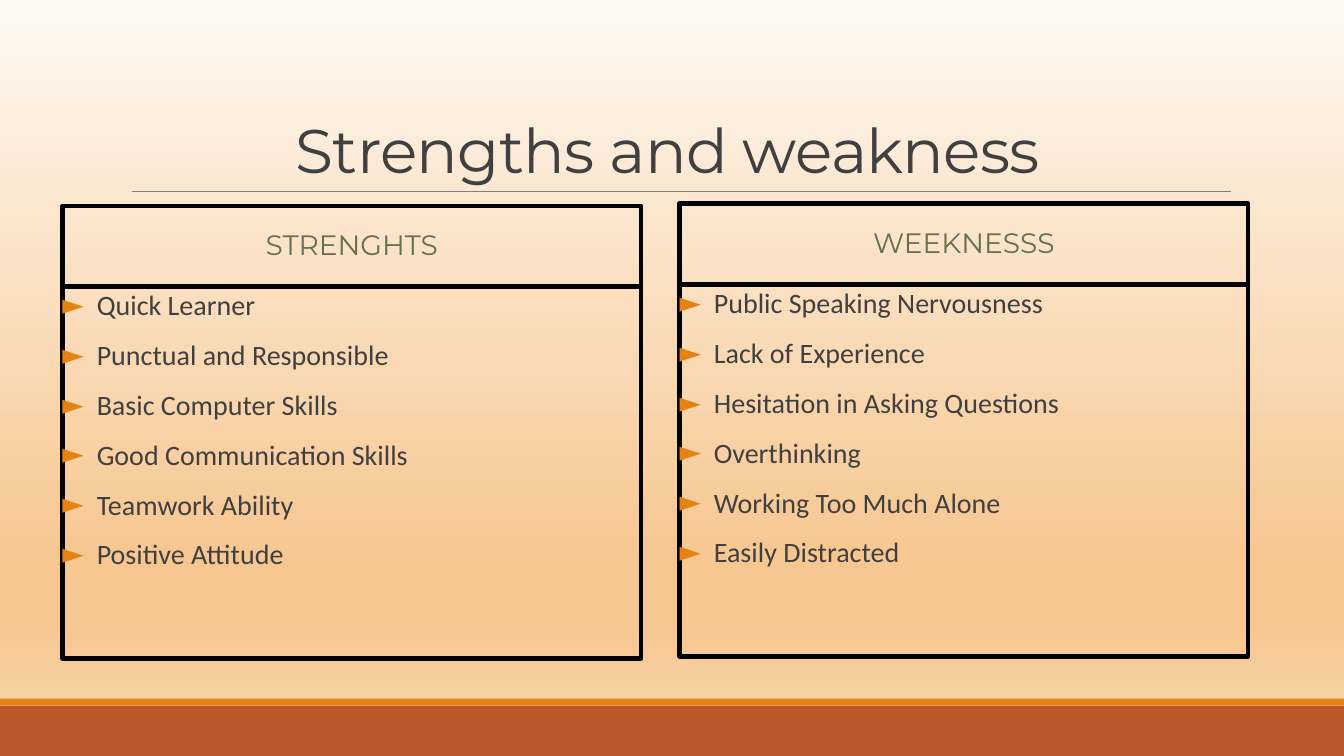
from lxml.etree import SubElement
from pptx import Presentation
from pptx.dml.color import RGBColor
from pptx.enum.shapes import MSO_CONNECTOR as Connector, MSO_SHAPE as Shape
from pptx.enum.text import MSO_ANCHOR as Anchor, PP_ALIGN as Align
from pptx.oxml.ns import qn
from pptx.util import Inches, Pt

COLORS = {
    "text": "404040", "heading": "637052", "accent": "E48312",
    "footer": "BD582C", "rule": "808080", "border": "000000",
}
BACKGROUND = [(0, "FEF9F3"), (74, "F6C791"), (83, "F6C791"), (100, "F9DAB6")]
PANELS = [
    (4.65, 27.2, 43.06, "STRENGHTS", [
        "Quick Learner", "Punctual and Responsible", "Basic Computer Skills",
        "Good Communication Skills", "Teamwork Ability", "Positive Attitude"]),
    (50.56, 26.93, 42.31, "WEEKNESSS", [
        "Public Speaking Nervousness", "Lack of Experience",
        "Hesitation in Asking Questions", "Overthinking",
        "Working Too Much Alone", "Easily Distracted"]),
]
HEADER_HEIGHT, LIST_HEIGHT = 10.7, 49.2


def color(name):
    return RGBColor.from_string(COLORS[name])


def write(paragraph, text, size=20, font="Calibri", ink="text", align=Align.LEFT,
          line=0.9, before=12, after=2, spacing=None, bullet=None, hanging=0.34):
    paragraph.alignment = align
    paragraph.line_spacing = line
    paragraph.space_before, paragraph.space_after = Pt(before), Pt(after)
    run = paragraph.add_run()
    run.text = text
    run.font.size, run.font.name = Pt(size), font
    run.font.color.rgb = color(ink)
    if spacing is not None:
        run.font._element.set("spc", str(int(spacing * 100)))
    if bullet:
        properties = paragraph._p.get_or_add_pPr()
        properties.set("marL", str(Inches(hanging)))
        properties.set("indent", str(-Inches(hanging)))
        bullet_color = SubElement(properties, qn("a:buClr"))
        SubElement(bullet_color, qn("a:srgbClr"), val=COLORS["accent"])
        SubElement(properties, qn("a:buFont"), typeface="Calibri")
        SubElement(properties, qn("a:buChar"), char=bullet)


class SlideBuilder:
    """Draws styled elements placed in percent of the slide's width and height."""

    def __init__(self, presentation):
        self.width = presentation.slide_width
        self.height = presentation.slide_height
        self.slide = presentation.slides.add_slide(presentation.slide_layouts[6])

    def place(self, left, top, width, height):
        return [int(self.width * left / 100), int(self.height * top / 100),
                int(self.width * width / 100), int(self.height * height / 100)]

    def background(self, stops):
        fill = self.slide.background.fill
        fill.gradient()
        fill.gradient_angle = 270
        stop_list = next(self.slide._element.iter(qn("a:gsLst")))
        for old_stop in list(stop_list):
            stop_list.remove(old_stop)
        for position, value in stops:
            stop = SubElement(stop_list, qn("a:gs"), pos=str(position * 1000))
            SubElement(stop, qn("a:srgbClr"), val=value)

    def rectangle(self, *area, fill=None, border=None):
        shape = self.slide.shapes.add_shape(Shape.RECTANGLE, *self.place(*area))
        shape.shadow.inherit = False
        if fill:
            shape.fill.solid()
            shape.fill.fore_color.rgb = color(fill)
        else:
            shape.fill.background()
        if border:
            shape.line.color.rgb = color(border)
            shape.line.width = Pt(3)
        else:
            shape.line.fill.background()
        return shape

    def rule(self, left, right, top):
        x, y, length, _ = self.place(left, top, right - left, 0)
        rule = self.slide.shapes.add_connector(Connector.STRAIGHT, x, y, x + length, y)
        rule.line.color.rgb = color("rule")
        rule.line.width = Pt(0.5)
        SubElement(rule._element.spPr, qn("a:effectLst"))

    def title(self, text, *area):
        frame = self.slide.shapes.add_textbox(*self.place(*area)).text_frame
        frame.word_wrap = True
        frame.vertical_anchor = Anchor.BOTTOM
        write(frame.paragraphs[0], text, size=44, font="Montserrat",
              align=Align.CENTER, line=0.85, before=0, after=0, spacing=-0.5)

    def header(self, text, *area):
        frame = self.rectangle(*area, border="border").text_frame
        frame.word_wrap = True
        frame.vertical_anchor = Anchor.MIDDLE
        write(frame.paragraphs[0], text, font="Montserrat", ink="heading",
              align=Align.CENTER)

    def bullets(self, items, *area):
        frame = self.rectangle(*area, border="border").text_frame
        frame.word_wrap = True
        frame.vertical_anchor = Anchor.TOP
        frame.margin_left = frame.margin_right = 0
        for index, item in enumerate(items):
            paragraph = frame.add_paragraph() if index else frame.paragraphs[0]
            write(paragraph, item, bullet="►")


def main():
    presentation = Presentation()
    presentation.slide_width, presentation.slide_height = Inches(13.33), Inches(7.5)
    builder = SlideBuilder(presentation)
    builder.background(BACKGROUND)
    builder.rectangle(0, 93.33, 100, 6.67, fill="footer")
    builder.rectangle(0, 92.4, 100, 0.9, fill="accent")
    builder.rule(9.83, 91.6, 25.33)
    builder.title("Strengths and weakness ", 9, 4.13, 82.52, 21.2)
    for left, top, width, heading, items in PANELS:
        builder.header(heading, left, top, width, HEADER_HEIGHT)
        builder.bullets(items, left, top + HEADER_HEIGHT, width, LIST_HEIGHT)
    presentation.save("out.pptx")


if __name__ == "__main__":
    main()
